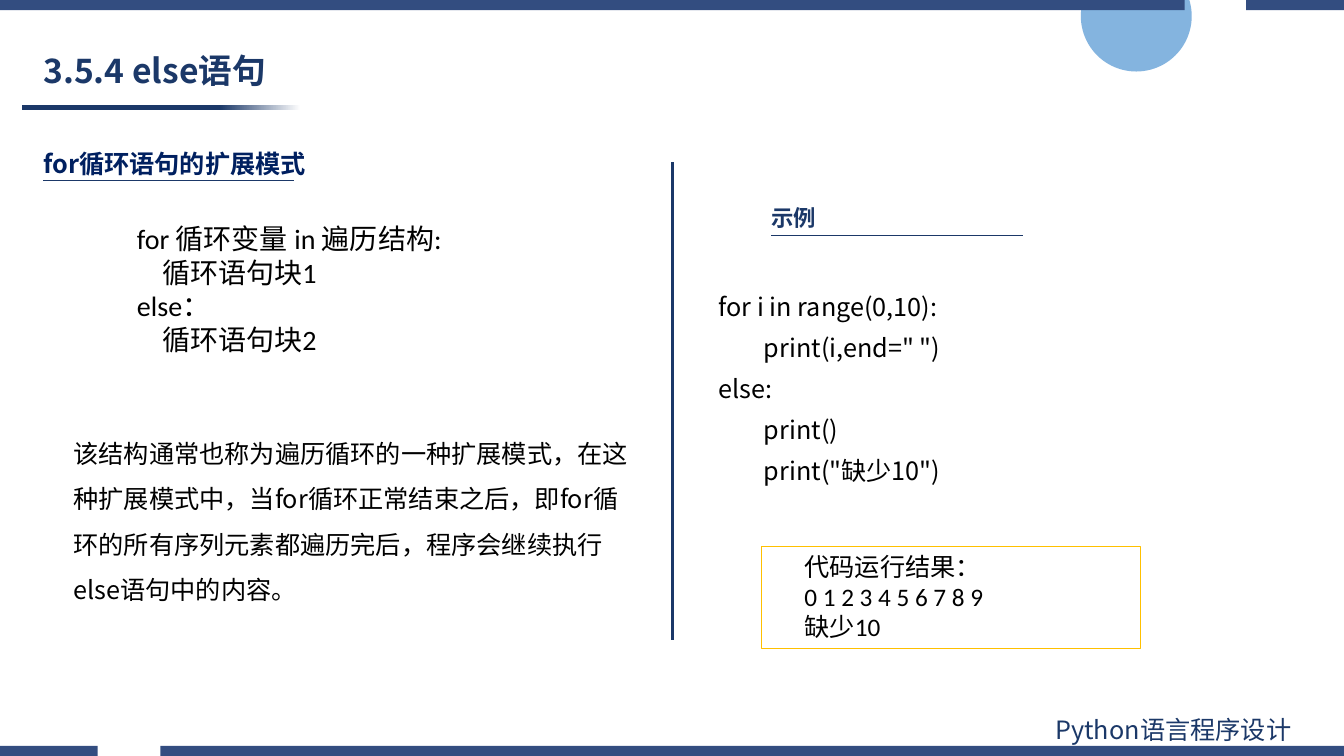
from dataclasses import dataclass

from lxml import etree
from pptx import Presentation
from pptx import util as u
from pptx.dml.color import RGBColor
from pptx.enum import shapes, text
from pptx.oxml import ns


@dataclass(frozen=True)
class Theme:
    navy: str = "1B3868"
    heading: str = "002060"
    bar: str = "334D80"
    sky: str = "5B9BD5"
    gold: str = "FFC000"
    black: str = "000000"
    white: str = "FFFFFF"
    sans: str = "Noto Sans CJK SC"
    latin: str = "Calibri"
    title_size: int = 24
    pattern_size: int = 20
    body_size: int = 18
    label_size: int = 16


class SlideBuilder:
    def __init__(self, presentation, theme):
        self.theme = theme
        self.slide = presentation.slides.add_slide(presentation.slide_layouts[5])

    def paint(self, fill, colour):
        fill.solid()
        fill.fore_color.rgb = RGBColor.from_string(colour)

    def set_text(self, shape, content, colour=None, size=None, font=None, bold=False,
                 indent=0, **paragraph_format):
        """Set one paragraph per line of content, all in one format."""
        theme = self.theme
        frame = shape.text_frame
        frame.word_wrap = True
        frame.text = content
        font_format = {"name": font or theme.sans, "bold": bold,
                       "size": u.Pt(size or theme.body_size)}
        space_before = paragraph_format.pop("space_before", None)
        for index, paragraph in enumerate(frame.paragraphs):
            for name, value in paragraph_format.items():
                setattr(paragraph, name, value)
            if index and space_before:
                paragraph.space_before = space_before
            if indent:
                properties = paragraph._p.get_or_add_pPr()
                properties.set("marL", "0")
                properties.set("indent", str(u.Inches(indent)))
            for run in paragraph.runs:
                for name, value in font_format.items():
                    setattr(run.font, name, value)
                self.paint(run.font.fill, colour or theme.black)
                east_asian = etree.SubElement(run.font._element, ns.qn("a:ea"))
                east_asian.set("typeface", theme.sans)

    def title(self, box, content):
        shape = self.slide.shapes.title
        for name, value in zip(("left", "top", "width", "height"), box):
            setattr(shape, name, u.Inches(value))
        shape.text_frame.auto_size = text.MSO_AUTO_SIZE.NONE
        shape.text_frame.vertical_anchor = text.MSO_ANCHOR.MIDDLE
        self.set_text(shape, content, self.theme.navy, self.theme.title_size, bold=True,
                      alignment=text.PP_ALIGN.LEFT, line_spacing=0.9)

    def text_box(self, box, content, **style):
        shape = self.slide.shapes.add_textbox(*map(u.Inches, box))
        shape.text_frame.auto_size = text.MSO_AUTO_SIZE.SHAPE_TO_FIT_TEXT
        self.set_text(shape, content, **style)

    def shape(self, kind, box):
        shape = self.slide.shapes.add_shape(kind, *map(u.Inches, box))
        shape.shadow.inherit = False
        shape.line.fill.background()
        return shape

    def circle(self, box, colour, opacity):
        shape = self.shape(shapes.MSO_SHAPE.OVAL, box)
        self.paint(shape.fill, colour)
        solid = shape._element.spPr.find(ns.qn("a:solidFill"))
        etree.SubElement(solid[0], ns.qn("a:alpha")).set("val", str(opacity * 1000))

    def fading_rule(self, box, start, end, fade_from):
        fill = self.shape(shapes.MSO_SHAPE.RECTANGLE, box).fill
        fill.gradient()
        fill.gradient_angle = 0
        for stop, colour, position in zip(fill.gradient_stops, (start, end), (fade_from, 1)):
            stop.color.rgb = RGBColor.from_string(colour)
            stop.position = position

    def framed_text(self, box, content, colour, **style):
        shape = self.shape(shapes.MSO_SHAPE.RECTANGLE, box)
        shape.fill.background()
        self.paint(shape.line.fill, colour)
        shape.line.width = u.Pt(0.75)
        shape.text_frame.vertical_anchor = text.MSO_ANCHOR.TOP
        self.set_text(shape, content, **style)

    def split_bar(self, top, bottom, spans, colour):
        builder = None
        for left, right in spans:
            corners = [(u.Inches(x), u.Inches(y)) for x, y in
                       ((left, top), (right, top), (right, bottom), (left, bottom))]
            if builder is None:
                builder = self.slide.shapes.build_freeform(*corners[0])
            else:
                builder.move_to(*corners[0])
            builder.add_line_segments(corners[1:], close=True)
        shape = builder.convert_to_shape()
        shape.shadow.inherit = False
        shape.line.fill.background()
        self.paint(shape.fill, colour)

    def line(self, start, end, width):
        connector = self.slide.shapes.add_connector(
            shapes.MSO_CONNECTOR.STRAIGHT, *map(u.Inches, (*start, *end)))
        self.paint(connector.line.fill, self.theme.navy)
        connector.line.width = u.Pt(width)
        etree.SubElement(connector._element.spPr, ns.qn("a:effectLst"))


def main():
    presentation = Presentation()
    presentation.slide_width = u.Inches(13.33)
    presentation.slide_height = u.Inches(7.5)
    theme = Theme()
    builder = SlideBuilder(presentation, theme)
    justified = {"font": theme.latin, "indent": 0.33, "alignment": text.PP_ALIGN.JUSTIFY}

    # Page decoration and footer
    builder.circle((10.72, -0.39, 1.1, 1.1), theme.sky, 75)
    builder.fading_rule((0.22, 1.04, 2.76, 0.05), theme.navy, theme.white, 0.71)
    builder.split_bar(7.4, 7.5, ((0, 0.97), (1.59, 13.33)), theme.bar)
    builder.split_bar(0, 0.1, ((0, 11.75), (12.36, 13.33)), theme.bar)
    builder.text_box((10.37, 7.04, 2.94, 0.4), "Python语言程序设计", colour=theme.navy)

    # Title and divider
    builder.title((0.33, 0.44, 3.57, 0.56), "3.5.4 else语句")
    builder.line((6.67, 1.61), (6.67, 6.35), 2)

    # Left: extended pattern of the for loop
    builder.text_box((0.33, 1.42, 5.09, 0.4), "for循环语句的扩展模式",
                     colour=theme.heading, bold=True)
    builder.line((0.43, 1.79), (2.92, 1.79), 0.5)
    builder.text_box((0.93, 2.15, 4.48, 1.45),
                     "for 循环变量 in 遍历结构:\n"
                     "    循环语句块1\n"
                     "else：\n"
                     "    循环语句块2",
                     size=theme.pattern_size, **justified)
    builder.text_box((0.63, 4.15, 5.74, 1.92),
                     "该结构通常也称为遍历循环的一种扩展模式，在这种扩展模式中，"
                     "当for循环正常结束之后，即for循环的所有序列元素都遍历完后，"
                     "程序会继续执行else语句中的内容。", line_spacing=1.5)

    # Right: example code and its output
    builder.text_box((7.55, 1.98, 3.4, 0.37), "示例", colour=theme.navy,
                     size=theme.label_size, bold=True)
    builder.line((7.65, 2.34), (10.15, 2.34), 0.5)
    builder.text_box((7.03, 2.87, 5.51, 2.03),
                     "for i in range(0,10):\n"
                     "        print(i,end=\" \")\n"
                     "else:\n"
                     "        print()\n"
                     "        print(\"缺少10\")",
                     line_spacing=0.9, space_before=u.Pt(10))
    builder.framed_text((7.55, 5.42, 3.76, 1.01),
                        "代码运行结果：\n0 1 2 3 4 5 6 7 8 9\n缺少10",
                        theme.gold, **justified)

    presentation.save("out.pptx")


if __name__ == "__main__":
    main()
